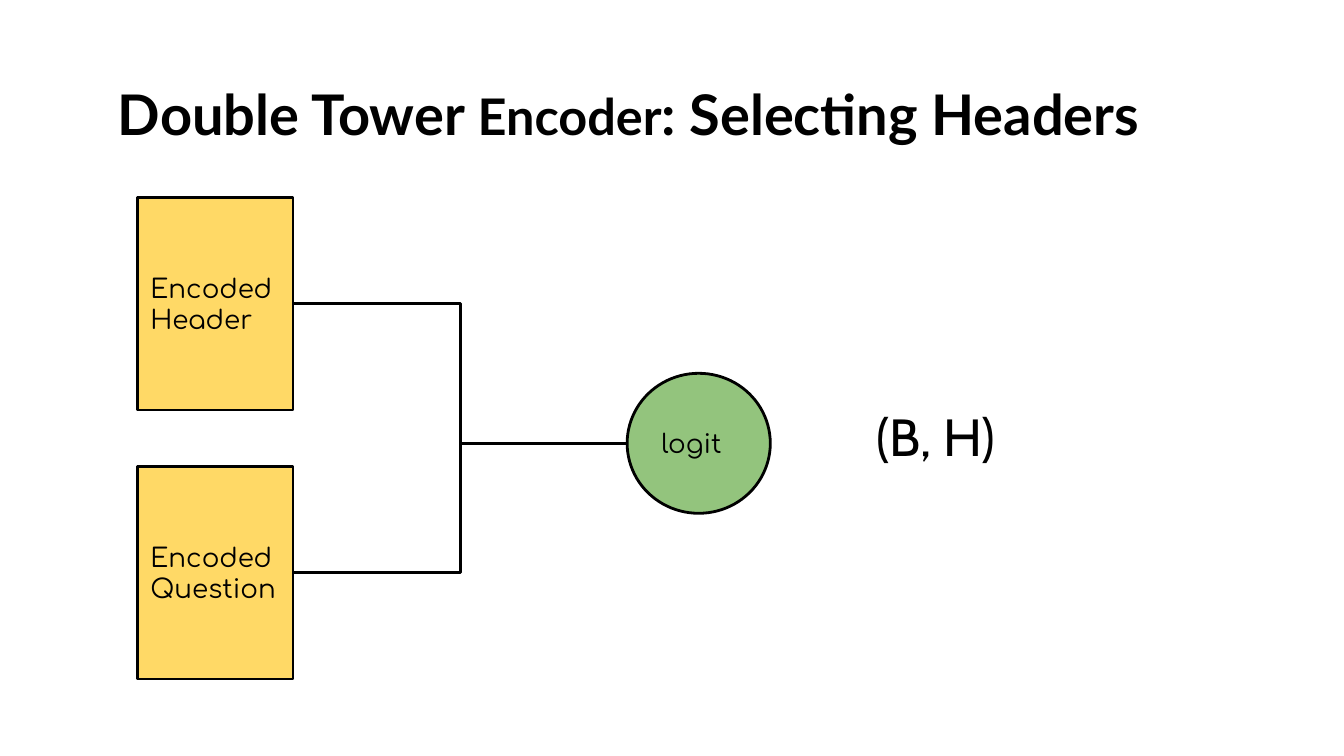
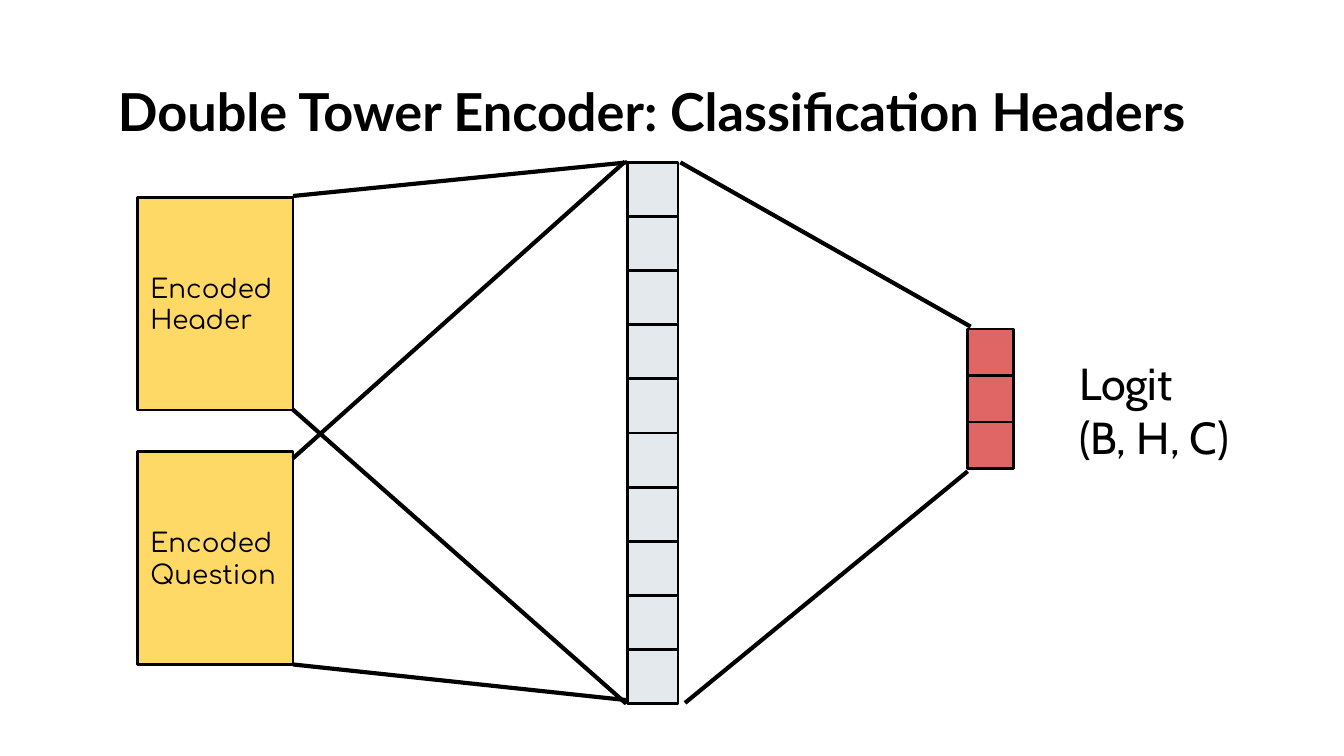
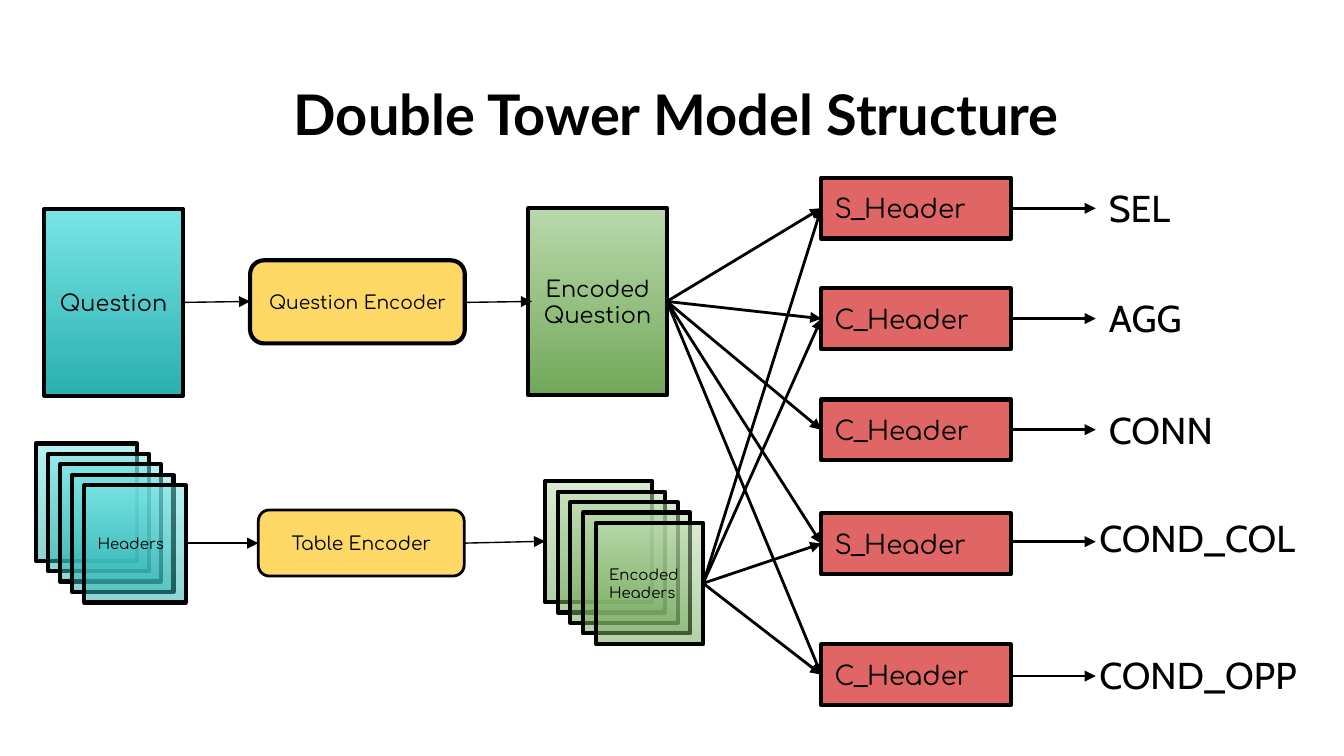
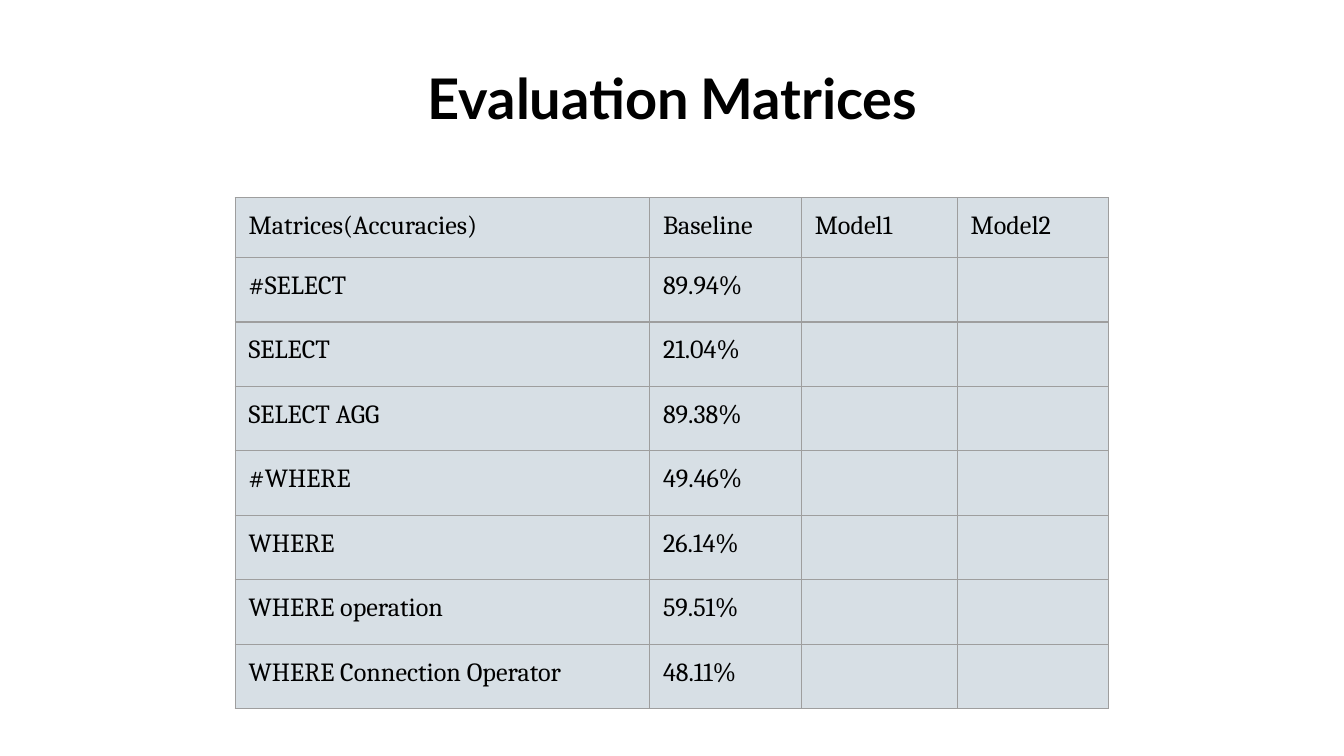
from lxml.etree import SubElement
from pptx import Presentation
from pptx.dml.color import RGBColor
from pptx.enum.shapes import MSO_CONNECTOR as LINK, MSO_SHAPE as FORM
from pptx.enum.text import MSO_ANCHOR, MSO_AUTO_SIZE, PP_ALIGN
from pptx.oxml.ns import qn
from pptx.util import Pt

BLACK, WHITE = "000000", "FFFFFF"
GOLD, GREEN, RED = "FFD966", "93C47D", "E06666"
PALE, MIST, GREY = "E3E9ED", "D7DFE5", "9E9E9E"
TEAL = ("78E5E5", "2BAFAF")
LEAF = ("B9D9AB", "72A859")
LEFT, MID = PP_ALIGN.LEFT, PP_ALIGN.CENTER

PAD = {"margin_left": Pt(7.2), "margin_right": Pt(7.2),
       "margin_top": Pt(7.2), "margin_bottom": Pt(7.2)}
FRAME = {**PAD, "word_wrap": True, "auto_size": MSO_AUTO_SIZE.NONE,
         "vertical_anchor": MSO_ANCHOR.TOP}
BOXED = {**FRAME, "vertical_anchor": MSO_ANCHOR.MIDDLE}
GROW = {**FRAME, "auto_size": MSO_AUTO_SIZE.SHAPE_TO_FIT_TEXT}

TOWER_X, TOWER_W, TOWER_H = 73.5, 83.5, 114
HEAD_X, HEAD_W, HEAD_H = 440, 101.5, 32.5

HEADS = [
    ("S_Header", 95.3, 111.6, "SEL", 587, 92, 64, True),
    ("C_Header", 154.5, 170.7, "AGG", 587, 151.2, 64, True),
    ("C_Header", 214, 230.2, "CONN", 587, 211, 84, False),
    ("S_Header", 275, 290.2, "COND_COL", 581.8, 268.6, 137, True),
    ("C_Header", 345.2, 362.2, "COND_OPP", 581.8, 342, 137, True),
]
SCORES = [
    ("Matrices(Accuracies)", "Baseline", "Model1", "Model2"),
    ("#SELECT", "89.94%", "", ""),
    ("SELECT", "21.04%", "", ""),
    ("SELECT AGG", "89.38%", "", ""),
    ("#WHERE", "49.46%", "", ""),
    ("WHERE", "26.14%", "", ""),
    ("WHERE operation", "59.51%", "", ""),
    ("WHERE Connection Operator", "48.11%", "", ""),
]


def shade(code):
    return RGBColor.from_string(code)


def apply(thing, looks):
    for name, value in looks.items():
        setattr(thing, name, value)


def style(font, face, size, bold=False):
    apply(font, {"name": face, "size": Pt(size), "bold": bold})
    font.color.rgb = shade(BLACK)


def write(frame, text, face, size, align=LEFT, looks=FRAME):
    apply(frame, looks)
    frame.text = text
    for para in frame.paragraphs:
        para.alignment = align
        for run in para.runs:
            style(run.font, face, size)


def title(deck, parts, align=MID, left=56, top=35.3):
    slide = deck.slides.add_slide(deck.slide_layouts[5])
    slide.background.fill.solid()
    slide.background.fill.fore_color.rgb = shade(WHITE)
    head = slide.shapes.title
    apply(head, {"left": Pt(left), "top": Pt(top), "width": Pt(612.7), "height": Pt(45.4)})
    apply(head.text_frame, FRAME)
    para = head.text_frame.paragraphs[0]
    apply(para, {"alignment": align, "line_spacing": 1.0})
    for text, size in parts:
        run = para.add_run()
        run.text = text
        style(run.font, "Lato", size, True)
    return slide


def paint(shape, fill, alpha):
    if isinstance(fill, str):
        shape.fill.solid()
        shape.fill.fore_color.rgb = shade(fill)
        return
    shape.fill.gradient()
    shape.fill.gradient_angle = 270
    for stop, code in zip(shape.fill.gradient_stops, fill):
        stop.color.rgb = shade(code)
    if alpha:
        for node in shape._element.spPr.iter(qn("a:srgbClr")):
            SubElement(node, qn("a:alpha"), val=str(alpha * 1000))


def box(home, area, fill, text="", size=14, form=FORM.RECTANGLE, weight=1.5,
        align=LEFT, alpha=None):
    shape = home.add_shape(form, *map(Pt, area))
    shape.shadow.inherit = False
    paint(shape, fill, alpha)
    shape.line.color.rgb = shade(BLACK)
    shape.line.width = Pt(weight)
    if text:
        write(shape.text_frame, text, "Comfortaa", size, align, BOXED)


def label(slide, area, text, size):
    note = slide.shapes.add_textbox(*map(Pt, area))
    write(note.text_frame, text, "Cabin", size, looks=GROW)


def link(slide, start, end, weight=1.5, arrow=False, kind=LINK.STRAIGHT):
    wire = slide.shapes.add_connector(kind, *map(Pt, start + end))
    wire.line.color.rgb = shade(BLACK)
    wire.line.width = Pt(weight)
    if arrow:
        SubElement(wire.line._get_or_add_ln(), qn("a:tailEnd"), type="triangle")
    SubElement(wire._element.spPr, qn("a:effectLst"))


def towers(slide, tops):
    for word, top in zip(("Header", "Question"), tops):
        box(slide.shapes, (TOWER_X, top, TOWER_W, TOWER_H), GOLD, f"Encoded\n{word}")


def column(slide, left, top, width, height, count, fill):
    home = slide.shapes.add_group_shape().shapes
    for row in range(count):
        box(home, (left, top + row * height, width, height), fill)


def stack(slide, left, top, width, height, step, fill, text):
    home = slide.shapes.add_group_shape().shapes
    for turn in range(5):
        area = (left + turn * step, top + turn * 5.6, width, height)
        box(home, area, fill, text if turn == 4 else "", 8, weight=2.25, alpha=53)


def border(cell):
    props = cell._tc.get_or_add_tcPr()
    for side in ("lnL", "lnR", "lnT", "lnB"):
        edge = SubElement(props, qn(f"a:{side}"), w=str(int(Pt(0.75))))
        fill = SubElement(edge, qn("a:solidFill"))
        SubElement(fill, qn("a:srgbClr"), val=GREY)


def grid(slide, rows, left, top, widths, heights):
    area = (left, top, sum(widths), sum(heights))
    table = slide.shapes.add_table(len(rows), len(widths), *map(Pt, area)).table
    apply(table, {"first_row": False, "horz_banding": False})
    for col, width in zip(table.columns, widths):
        col.width = Pt(width)
    for line, height, words in zip(table.rows, heights, rows):
        line.height = Pt(height)
        for cell, word in zip(line.cells, words):
            write(cell.text_frame, word, "Cambria", 14, looks={})
            apply(cell, PAD)
            if not word:
                para = cell.text_frame.paragraphs[0]
                para._p.get_or_add_endParaRPr().set("sz", "1400")
            border(cell)
            cell.fill.solid()
            cell.fill.fore_color.rgb = shade(MIST)


def select(deck):
    parts = [("Double Tower ", 30), ("Encoder", 27), (": Selecting Headers", 30)]
    slide = title(deck, parts, LEFT)
    tops = (105.7, 249.8)
    towers(slide, tops)
    box(slide.shapes, (336, 200, 76.7, 75), GREEN, "logit", form=FORM.OVAL)
    for top in tops:
        start = (TOWER_X + TOWER_W, top + TOWER_H / 2)
        link(slide, start, (336, 237.5), kind=LINK.ELBOW)
    label(slide, (462.4, 209.6, 91.5, 48), "(B, H)", 28)


def classes(deck):
    slide = title(deck, [("Double Tower Encoder: Classification Headers", 28)], LEFT)
    link(slide, (157, 356), (349, 376.5), 2.25)
    towers(slide, (105.7, 242))
    column(slide, 336.2, 87, 27, 29, 10, PALE)
    for start, end in (((157, 105), (336, 87)), ((157, 219.5), (335.5, 377)),
                       ((157, 245.5), (334.8, 86.6))):
        link(slide, start, end, 2.25)
    column(slide, 518.2, 176.3, 25, 24.9, 3, RED)
    link(slide, (364.5, 87), (520, 175), 2.25)
    link(slide, (367, 376.6), (518.4, 252.5), 2.25)
    label(slide, (571, 183.6, 139, 72.7), "Logit\n(B, H, C)", 24)


def model(deck):
    slide = title(deck, [("Double Tower Model Structure", 30)])
    home = slide.shapes
    for area, text, weight in (((134, 139.5, 115, 44.5), "Question Encoder", 2.25),
                               ((138.4, 273.2, 110.3, 35.4), "Table Encoder", 1.5)):
        box(home, area, GOLD, text, 10, FORM.ROUNDED_RECTANGLE, weight, MID)
    for left, top, fill, text in ((23.7, 112, TEAL, "Question"),
                                  (283, 111.6, LEAF, "Encoded\nQuestion")):
        box(home, (left, top, 74.3, 100), fill, text, 12, FORM.FLOWCHART_PROCESS, 2.25, MID)
    stack(slide, 19.2, 237.6, 54.3, 62.8, 6.5, TEAL, "Headers")
    stack(slide, 292, 257.8, 57.5, 64.8, 6.8, LEAF, "Encoded\nHeaders")
    for start, end in (((98, 162), (134, 161.5)), ((249, 162), (285, 161.5)),
                       ((99.4, 291), (138.4, 291)), ((248.6, 291), (292, 290))):
        link(slide, start, end, 0.75, True)
    for name, top, out, word, left, peak, width, both in HEADS:
        box(home, (HEAD_X, top, HEAD_W, HEAD_H), RED, name, weight=2.25)
        label(slide, (left, peak, width, 39), word, 20)
        link(slide, (HEAD_X + HEAD_W, out), (587, out), arrow=True)
        goal = (HEAD_X, top + HEAD_H / 2)
        link(slide, (357.3, 161.5), goal, arrow=True)
        if both:
            link(slide, (376.7, 312.5), goal, arrow=True)


def scores(deck):
    parts = [("Evaluation", 30), (" ", 24), ("Matrices", 30)]
    slide = title(deck, parts, left=54, top=26.7)
    grid(slide, SCORES, 126, 106, (222, 81.3, 83.5, 81), (32,) + (34.55,) * 7)


def main():
    deck = Presentation()
    apply(deck, {"slide_width": Pt(720), "slide_height": Pt(405)})
    for build in (select, classes, model, scores):
        build(deck)
    deck.save("out.pptx")


if __name__ == "__main__":
    main()
